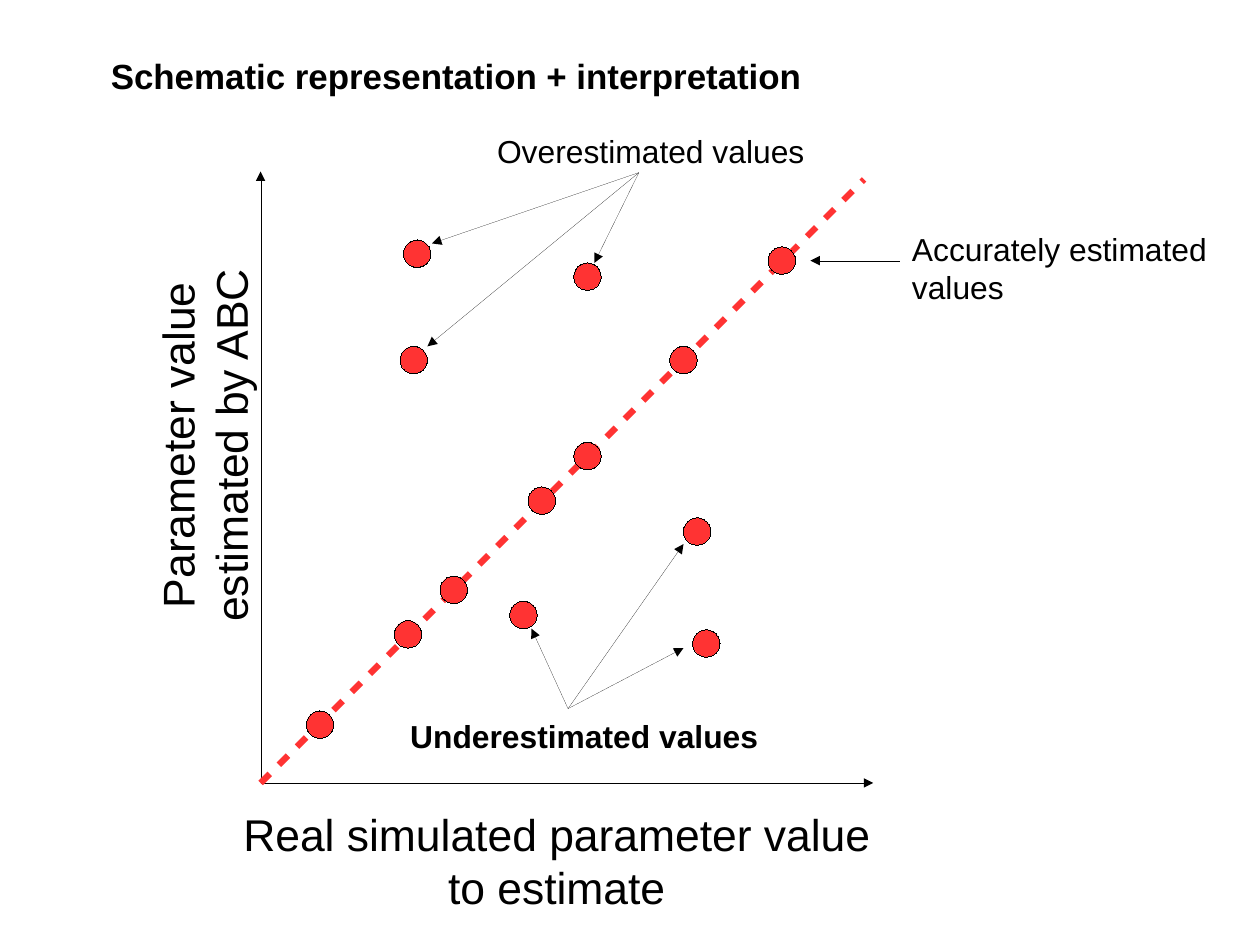
"""Build a schematic of estimated against real parameter values."""
import pptx
import pptx.dml.color
import pptx.enum.shapes
import pptx.enum.text
import pptx.oxml
import pptx.oxml.ns
import pptx.util
from pptx.util import Inches

BLACK = pptx.dml.color.RGBColor(0, 0, 0)
RED = pptx.dml.color.RGBColor(0xFF, 0x33, 0x33)
LEFT = pptx.enum.text.PP_ALIGN.LEFT
CENTER = pptx.enum.text.PP_ALIGN.CENTER
NAMESPACE = pptx.oxml.ns.nsdecls("a")
ARROWHEAD = f'<a:tailEnd {NAMESPACE} type="triangle"/>'
DASHES = f'<a:custDash {NAMESPACE}><a:ds d="203000" sp="203000"/></a:custDash>'
CM_PER_INCH = 2.54
HAIRLINE = 0.01
DOT_SIZE = 0.24


def write_text(shape, lines, size, bold=False, alignment=LEFT, wrap=False):
    frame = shape.text_frame
    frame.text = "\n".join(lines)
    frame.word_wrap = wrap
    frame.auto_size = pptx.enum.text.MSO_AUTO_SIZE.NONE
    frame.vertical_anchor = pptx.enum.text.MSO_ANCHOR.TOP
    for paragraph in frame.paragraphs:
        paragraph.alignment = alignment
        paragraph.font.name = "Arial"
        paragraph.font.size = pptx.util.Pt(size)
        paragraph.font.bold = bold
        paragraph.font.color.rgb = BLACK


def add_line(start, end, color, width, ending):
    line = slide.shapes.add_connector(
        pptx.enum.shapes.MSO_CONNECTOR.STRAIGHT,
        *(Inches(value) for value in (*start, *end)))
    line.line.color.rgb = color
    line.line.width = pptx.util.Pt(width)
    properties = line._element.spPr
    properties.find(pptx.oxml.ns.qn("a:ln")).append(pptx.oxml.parse_xml(ending))
    properties.append(pptx.oxml.parse_xml(f"<a:effectLst {NAMESPACE}/>"))


presentation = pptx.Presentation()
presentation.slide_width = Inches(28 / CM_PER_INCH)
presentation.slide_height = Inches(21 / CM_PER_INCH)
slide = presentation.slides.add_slide(presentation.slide_layouts[5])

title = slide.shapes.title
title.left, title.top = Inches(0.87), Inches(0.43)
title.width, title.height = Inches(6.25), Inches(0.44)
write_text(title, ["Schematic representation + interpretation"], 22, bold=True)

origin = (2.28, 6.85)
for axis_end in [(2.28, 1.5), (7.64, 6.85)]:
    add_line(origin, axis_end, BLACK, HAIRLINE, ARROWHEAD)
add_line(origin, (7.56, 1.57), RED, 4, DASHES)

labels = [
    ((2.02, 7.01, 5.7, 0.97), ["Real simulated parameter value", "to estimate"],
     28, False, CENTER, 0),
    ((0.25, 2.98, 3.86, 1.83), ["Parameter value", "estimated by ABC"],
     28, False, CENTER, 270),
    ((7.88, 1.96, 2.78, 0.72), ["Accurately estimated", "values"], 20, False, LEFT, 0),
    ((4.25, 1.1, 2.89, 0.41), ["Overestimated values"], 20, False, LEFT, 0),
    ((3.49, 6.22, 3.25, 0.41), ["Underestimated values"], 20, True, LEFT, 0),
]
for box, lines, size, bold, alignment, rotation in labels:
    label = slide.shapes.add_textbox(*(Inches(value) for value in box))
    label.rotation = rotation
    write_text(label, lines, size, bold, alignment, wrap=rotation != 0)

accurate_dots = [(2.68, 6.22), (3.45, 5.43), (3.85, 5.04), (4.62, 4.26),
                 (5.02, 3.87), (5.86, 3.03), (6.72, 2.16)]
overestimated_dots = [(3.5, 3.03), (5.02, 2.3), (3.53, 2.1)]
underestimated_dots = [(4.46, 5.26), (5.98, 4.53), (6.06, 5.51)]
for left, top in accurate_dots + overestimated_dots + underestimated_dots:
    dot = slide.shapes.add_shape(
        pptx.enum.shapes.MSO_SHAPE.OVAL, Inches(left), Inches(top),
        Inches(DOT_SIZE), Inches(DOT_SIZE))
    dot.shadow.inherit = False
    dot.fill.solid()
    dot.fill.fore_color.rgb = RED
    dot.line.color.rgb = BLACK
    dot.line.width = pptx.util.Pt(HAIRLINE)

pointers = [
    ((7.87, 2.28), [(7.09, 2.28)]),
    ((5.59, 1.51), [(5.2, 2.3), (3.74, 3.03), (3.78, 2.13)]),
    ((4.97, 6.2), [(5.98, 5.67), (5.98, 4.76), (4.65, 5.5)]),
]
for start, tips in pointers:
    for tip in tips:
        add_line(start, tip, BLACK, HAIRLINE, ARROWHEAD)

presentation.save("out.pptx")
